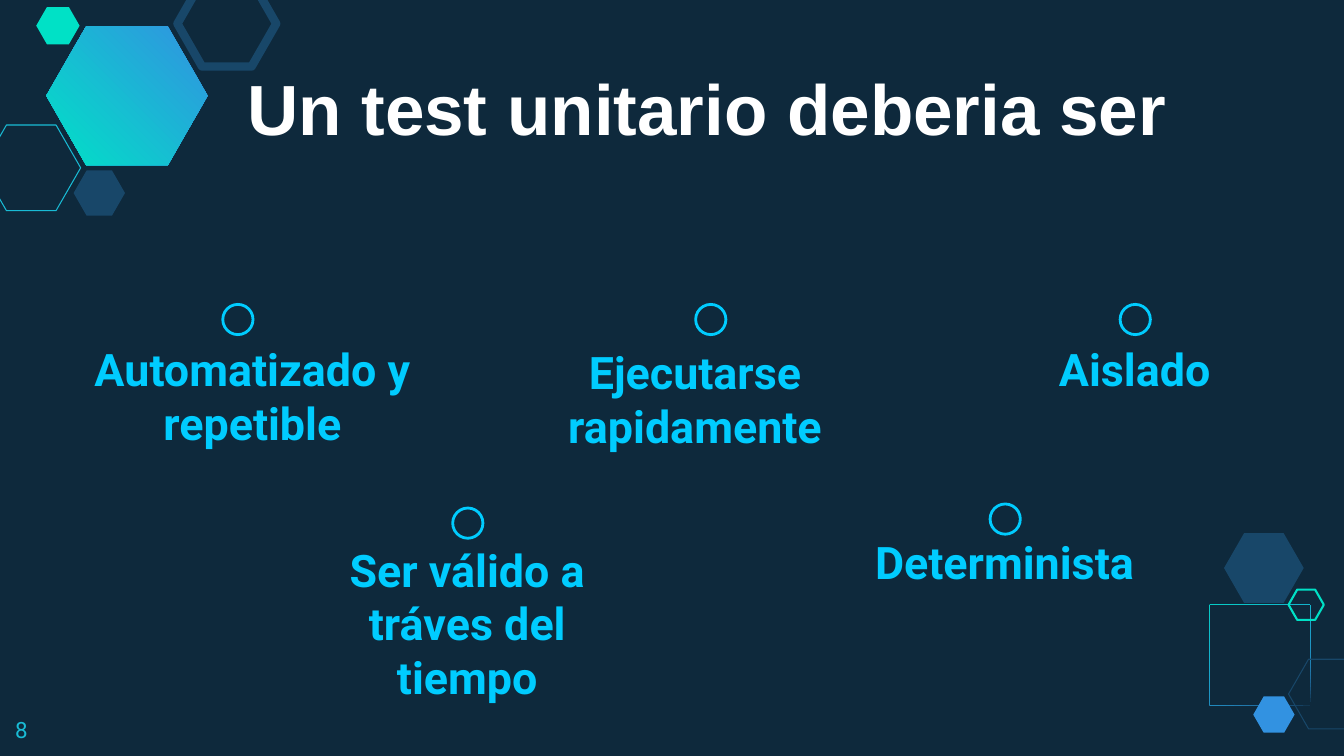
from lxml import etree
from pptx import Presentation
from pptx import util as u
from pptx.dml.color import RGBColor
from pptx.enum import shapes, text
from pptx.oxml.ns import qn

NAVY, STEEL, WHITE = "0E293C", "184769", "FFFFFF"
CYAN, TEAL, MINT, BLUE = "00CCFF", "19BBD5", "00E1C6", "3292E1"
SLIDE_W, SLIDE_H = 13.33, 7.5
HEX_INSET = 0.287  # corner inset as a share of a hexagon's height


def rgb(value):
    return RGBColor.from_string(value)


def paint(sp, fill=None, line=None, width=0.75):
    """Set a plain fill and outline; None leaves that part empty."""
    sp.shadow.inherit = False
    if fill:
        sp.fill.solid()
        sp.fill.fore_color.rgb = rgb(fill)
    else:
        sp.fill.background()
    if line:
        sp.line.color.rgb = rgb(line)
        sp.line.width = u.Pt(width)
    else:
        sp.line.fill.background()


def paint_gradient(sp, angle):
    paint(sp)
    sp.fill.gradient()
    sp.fill.gradient_angle = angle
    for stop, color in zip(sp.fill.gradient_stops, (BLUE, MINT)):
        stop.color.rgb = rgb(color)
    # Spread the two stops over the whole shape
    for stop, position in zip(sp.fill.gradient_stops, (0, 1)):
        stop.position = position


def write(tf, words, size, font, color, bold=False, align=text.PP_ALIGN.LEFT,
          anchor=text.MSO_ANCHOR.TOP, inset=(0.1, 0.07)):
    tf.word_wrap = True
    tf.auto_size = text.MSO_AUTO_SIZE.NONE
    tf.vertical_anchor = anchor
    tf.margin_left = tf.margin_right = u.Inches(inset[0])
    tf.margin_top = tf.margin_bottom = u.Inches(inset[1])
    p = tf.paragraphs[0]
    p.alignment = align
    r = p.add_run()
    r.text = words
    r.font.size, r.font.name, r.font.bold = u.Pt(size), font, bold
    r.font.color.rgb = rgb(color)


def add_hexagon(s, x, y, w, h):
    sp = s.shapes.add_shape(shapes.MSO_SHAPE.HEXAGON, *map(u.Inches, (x, y, w, h)))
    sp.adjustments[0] = HEX_INSET
    return sp


def hexagon_points(x, y, w, h):
    d = h * HEX_INSET
    return [(x, y + h / 2), (x + d, y), (x + w - d, y),
            (x + w, y + h / 2), (x + w - d, y + h), (x + d, y + h)]


def add_hexagon_ring(s, x, y, w, h, band):
    """Hexagon with a hexagonal hole; the hole runs the other way round."""
    outer = hexagon_points(x, y, w, h)
    side = band * 1.16
    hole = hexagon_points(x + side, y + band, w - 2 * side, h - 2 * band)[::-1]
    builder = s.shapes.build_freeform(*outer[0], scale=u.Inches(1))
    builder.add_line_segments(outer[1:], close=True)
    builder.move_to(*hole[0])
    builder.add_line_segments(hole[1:], close=True)
    return builder.convert_to_shape()


def add_top_cluster(s, x, y):
    paint_gradient(add_hexagon(s, x + 0.46, y + 0.26, 1.6, 1.38), 225)
    paint(add_hexagon(s, x - 0.18, y + 1.24, 0.98, 0.85), line=TEAL)
    paint(add_hexagon(s, x + 0.73, y + 1.69, 0.51, 0.45), fill=STEEL)
    paint(add_hexagon(s, x + 1.76, y - 0.19, 0.98, 0.85), line=STEEL, width=6)
    paint(add_hexagon(s, x + 0.36, y + 0.07, 0.43, 0.37), fill=MINT)


def add_bottom_cluster(s, x, y):
    paint_gradient(add_hexagon_ring(s, x, y + 0.72, 1, 0.87, 0.12), 116)
    paint(add_hexagon(s, x + 0.8, y + 1.25, 0.79, 0.69), line=STEEL)
    paint(add_hexagon(s, x + 0.45, y + 1.62, 0.41, 0.36), fill=BLUE)
    paint(add_hexagon(s, x + 0.16, y, 0.79, 0.69), fill=STEEL)
    paint(add_hexagon(s, x + 0.8, y + 0.56, 0.35, 0.3), line=MINT, width=1.5)


def add_icon(s, cx, cy):
    """Circled chevron centred on (cx, cy)."""
    size = 0.3
    ring = s.shapes.add_shape(
        shapes.MSO_SHAPE.OVAL,
        *map(u.Inches, (cx - size / 2, cy - size / 2, size, size)))
    paint(ring, line=CYAN, width=2)
    builder = s.shapes.build_freeform(cx - 0.08, cy - 0.02, scale=u.Inches(1))
    builder.add_line_segments([(cx, cy + 0.05), (cx + 0.08, cy - 0.02)], close=False)
    chevron = builder.convert_to_shape()
    paint(chevron, line=CYAN, width=2)
    etree.SubElement(chevron.line._get_or_add_ln(), qn("a:round"))


def add_quality(s, words, x, y, icon_dx, icon_dy, w=3.43, h=1.69):
    """Caption box with its icon, placed from the box's top left corner."""
    add_icon(s, x + icon_dx, y + icon_dy)
    box = s.shapes.add_textbox(*map(u.Inches, (x, y, w, h)))
    write(box.text_frame, words, 32, "Roboto", CYAN, True, text.PP_ALIGN.CENTER)


def add_title(s, words, x, y, w, h):
    title = s.shapes.title
    title.left, title.top, title.width, title.height = map(u.Inches, (x, y, w, h))
    write(title.text_frame, words, 50.7, "Arial", WHITE, True, inset=(0, 0.13))


def add_page_number(s, number, x, y, w, h):
    box = s.shapes.add_textbox(*map(u.Inches, (x, y, w, h)))
    write(box.text_frame, number, 16, "Roboto", TEAL,
          anchor=text.MSO_ANCHOR.MIDDLE, inset=(0.13, 0.1))


# Caption, box left and top, icon centre from that corner
QUALITIES = [
    ("Automatizado y repetible", 0.79, 3.32, 1.57, -0.15),
    ("Ejecutarse rapidamente", 5.18, 3.35, 1.87, -0.18),
    ("Aislado", 9.54, 3.32, 1.72, -0.15),
    ("Ser válido a tráves del tiempo", 2.92, 5.31, 1.72, -0.12),
    ("Determinista", 8.25, 5.23, 1.72, -0.08),
]


def main():
    prs = Presentation()
    prs.slide_width, prs.slide_height = u.Inches(SLIDE_W), u.Inches(SLIDE_H)
    s = prs.slides.add_slide(prs.slide_layouts[5])
    s.background.fill.solid()
    s.background.fill.fore_color.rgb = rgb(NAVY)

    # Hexagon decoration
    add_top_cluster(s, 0, 0)
    add_bottom_cluster(s, 11.98, 5.29)

    # Content
    add_title(s, "Un test unitario deberia ser", 2.45, 0.51, SLIDE_W - 2.45, 1.49)
    for quality in QUALITIES:
        add_quality(s, *quality)
    add_page_number(s, "8", 0.02, 6.98, 0.8, 0.52)
    prs.save("out.pptx")


if __name__ == "__main__":
    main()
